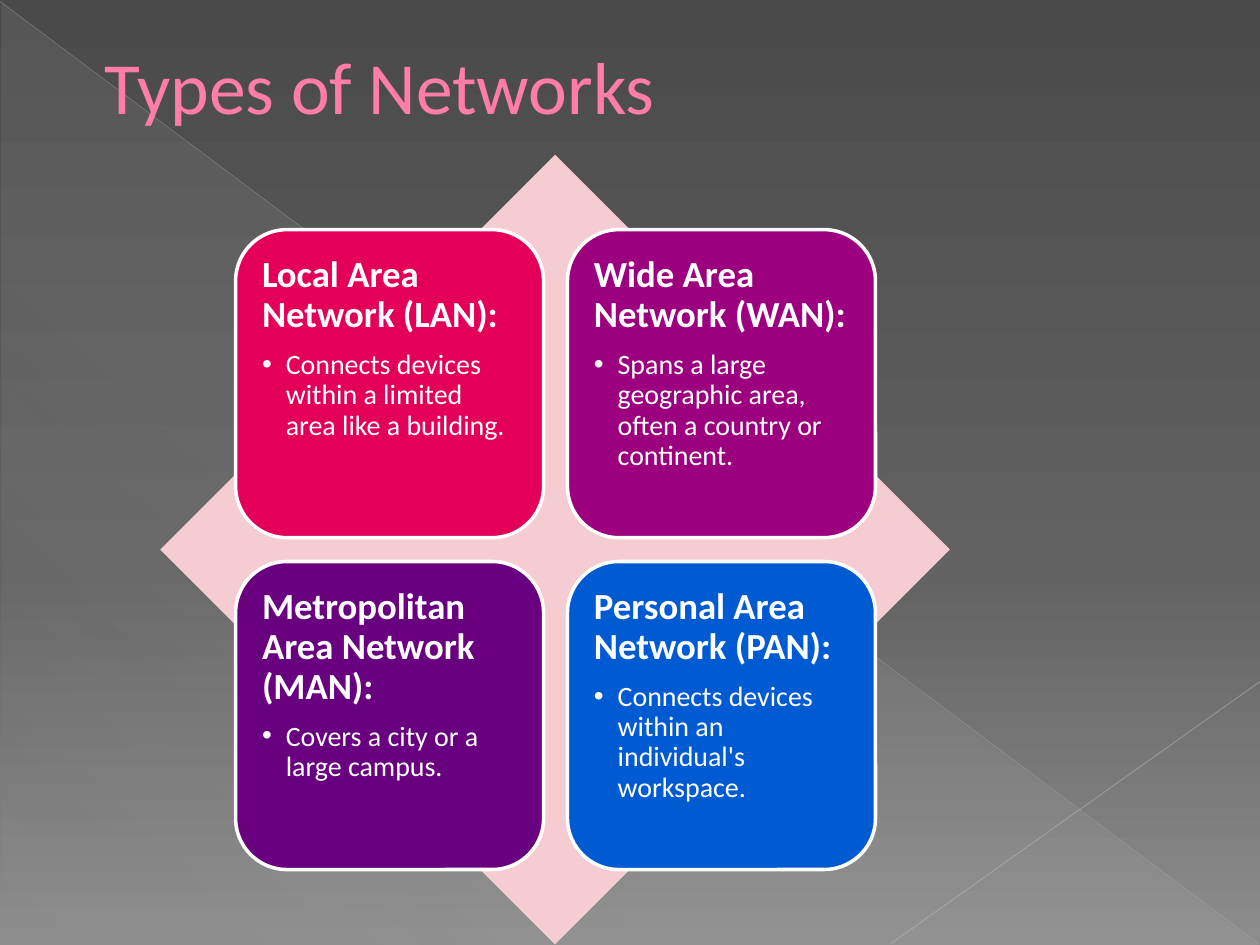
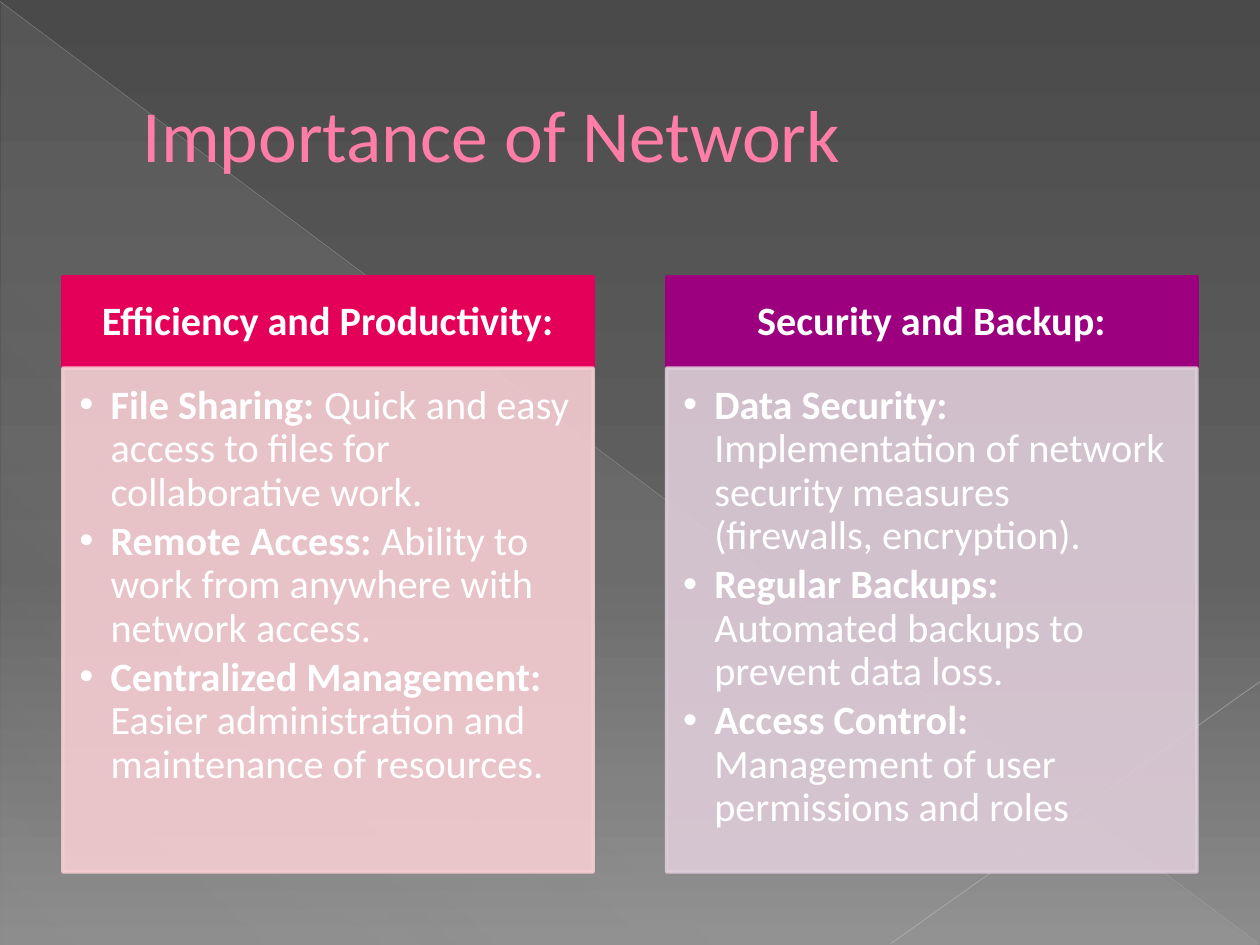
from dataclasses import dataclass

import lxml.etree
import pptx
import pptx.dml.color
import pptx.enum.shapes
import pptx.enum.text
import pptx.oxml.ns
import pptx.util

Cm = pptx.util.Cm
Pt = pptx.util.Pt
Color = pptx.dml.color.RGBColor.from_string
Shape = pptx.enum.shapes.MSO_SHAPE
Anchor = pptx.enum.text.MSO_ANCHOR
Align = pptx.enum.text.PP_ALIGN
qn = pptx.oxml.ns.qn


@dataclass(frozen=True)
class Theme:
    font: str = "Calibri"
    title: str = "FF7DA7"
    title_edge: str = "B12761"
    white: str = "FFFFFF"
    red: str = "E40059"
    magenta: str = "9C007F"
    purple: str = "68007F"
    blue: str = "005BD3"
    pink: str = "F5CCD1"
    lilac: str = "DECCD8"
    backdrop: tuple = ((0, "4A4A4A", 100), (60, "626262", 100), (100, "8C8C8C", 100))
    sheen: tuple = ((0, "D2D2D2", 10), (70, "D2D2D2", 8), (100, "D2D2D2", 1))
    title_size: float = 42
    card_heading_size: float = 21
    card_bullet_size: float = 16
    panel_size: float = 23
    heading_gap: float = 8.6
    bullet_gap: float = 3.2
    border: float = 2


theme = Theme()


def add_box(page, kind, place, fill, line=None, opacity=100):
    box = page.shapes.add_shape(kind, *[Cm(length) for length in place])
    box.shadow.inherit = False
    box.fill.solid()
    box.fill.fore_color.rgb = Color(fill)
    if line:
        box.line.color.rgb = Color(line)
        box.line.width = Pt(theme.border)
    else:
        box.line.fill.background()
    if opacity < 100:
        for color in box.element.spPr.iter(qn("a:srgbClr")):
            lxml.etree.SubElement(color, qn("a:alpha"), val=str(opacity * 1000))
    box.text_frame.word_wrap = True
    return box


def add_text(frame, pieces, size, gap, indent=0, align=Align.LEFT):
    para = frame.paragraphs[0] if not frame.text else frame.add_paragraph()
    para.alignment = align
    para.line_spacing = 0.9
    para.space_after = Pt(gap)
    if indent:
        properties = para._p.get_or_add_pPr()
        properties.set("marL", str(Cm(indent)))
        properties.set("indent", str(-Cm(indent)))
        lxml.etree.SubElement(properties, qn("a:buFont"), typeface="Arial")
        lxml.etree.SubElement(properties, qn("a:buChar"), char="•")
    for text, bold in pieces:
        span = para.add_run()
        span.text = text
        span.font.name = theme.font
        span.font.size = Pt(size)
        span.font.bold = bold
        span.font.color.rgb = Color(theme.white)


deck = pptx.Presentation()
deck.slide_width = Cm(25.4)
deck.slide_height = Cm(19.05)
master = deck.slide_master
title_layout = deck.slide_layouts.get_by_name("Title Only")

titles = [
    ("Types of Networks", (0.51, 0.53, 22.86, 2.39)),
    ("Importance of Network", (1.27, 0.74, 22.86, 3.89)),
]
pages = []
for text, place in titles:
    page = deck.slides.add_slide(title_layout)
    pages.append(page)
    title = page.shapes.title
    title.left, title.top, title.width, title.height = [Cm(length) for length in place]
    title.text_frame.text = text
    title.text_frame.auto_size = pptx.enum.text.MSO_AUTO_SIZE.NONE
    title.text_frame.vertical_anchor = Anchor.MIDDLE
    para = title.text_frame.paragraphs[0]
    para.alignment = Align.LEFT
    para._p.get_or_add_pPr().set("marL", str(Cm(1.35)))
    span = para.runs[0]
    span.font.name = theme.font
    span.font.size = Pt(theme.title_size)
    span.font.color.rgb = Color(theme.title)
    edge = lxml.etree.Element(qn("a:ln"), w=str(Pt(0.5)))
    edge_fill = lxml.etree.SubElement(edge, qn("a:solidFill"))
    lxml.etree.SubElement(edge_fill, qn("a:srgbClr"), val=theme.title_edge)
    span.font._element.insert(0, edge)

types_page, importance_page = pages

triangle = add_box(types_page, Shape.RIGHT_TRIANGLE, (0.03, 0.05, 25.35, 19), theme.white)
gradients = [
    (master.background.fill, master.element, theme.backdrop, 90),
    (triangle.fill, triangle.element, theme.sheen, 133),
]
for fill, owner, stops, angle in gradients:
    fill.gradient()
    fill.gradient_angle = 360 - angle
    stop_list = owner.find(".//" + qn("a:gsLst"))
    for stop in list(stop_list):
        stop_list.remove(stop)
    for position, color, opacity in stops:
        stop = lxml.etree.SubElement(stop_list, qn("a:gs"), pos=str(position * 1000))
        shade = lxml.etree.SubElement(stop, qn("a:srgbClr"), val=color)
        lxml.etree.SubElement(shade, qn("a:alpha"), val=str(opacity * 1000))

backdrop_parts = [triangle]
diagonals = [
    ((0, 0.03, 25.37, 19.02), "BFBFBF", 0.39, 35),
    ((25.4, 13.74, 17.96, 19.02), "C6C6C6", 0.47, 45),
]
for ends, color, width, opacity in diagonals:
    diagonal = types_page.shapes.add_connector(
        pptx.enum.shapes.MSO_CONNECTOR.STRAIGHT, *[Cm(length) for length in ends]
    )
    diagonal.line.color.rgb = Color(color)
    diagonal.line.width = Pt(width)
    shade = diagonal.element.spPr.find(".//" + qn("a:srgbClr"))
    lxml.etree.SubElement(shade, qn("a:alpha"), val=str(opacity * 1000))
    lxml.etree.SubElement(diagonal.element.spPr, qn("a:effectLst"))
    backdrop_parts.append(diagonal)
for index, part in enumerate(backdrop_parts):
    master.shapes.element.insert(2 + index, part.element)

add_box(types_page, Shape.DIAMOND, (3.23, 3.12, 15.92, 15.92), theme.pink)
cards = [
    ("Local Area Network (LAN):", "Connects devices within a limited area like a building.", theme.red),
    ("Wide Area Network (WAN):", "Spans a large geographic area, often a country or continent.", theme.magenta),
    ("Metropolitan Area Network (MAN):", "Covers a city or a large campus.", theme.purple),
    ("Personal Area Network (PAN):", "Connects devices within an individual's workspace.", theme.blue),
]
card_size, card_pitch = 6.21, 6.69
for index, (heading, detail, color) in enumerate(cards):
    row, column = divmod(index, 2)
    place = (4.75 + column * card_pitch, 4.63 + row * card_pitch, card_size, card_size)
    card = add_box(types_page, Shape.ROUNDED_RECTANGLE, place, color, theme.white)
    frame = card.text_frame
    frame.vertical_anchor = Anchor.TOP
    frame.margin_left = frame.margin_top = frame.margin_right = frame.margin_bottom = Cm(0.23)
    add_text(frame, [(heading, True)], theme.card_heading_size, theme.heading_gap)
    add_text(frame, [(detail, False)], theme.card_bullet_size, theme.bullet_gap, 0.48)

columns = [
    ("Efficiency and Productivity:", theme.red, theme.pink, [
        ("File Sharing:", " Quick and easy access to files for collaborative work."),
        ("Remote Access:", " Ability to work from anywhere with network access."),
        ("Centralized Management:", " Easier administration and maintenance of resources."),
    ]),
    ("Security and Backup:", theme.magenta, theme.lilac, [
        ("Data Security:", " Implementation of network security measures (firewalls, encryption)."),
        ("Regular Backups:", " Automated backups to prevent data loss."),
        ("Access Control:", " Management of user permissions and roles"),
    ]),
]
column_width, column_pitch = 10.69, 12.17
for index, (heading, header_color, panel_color, benefits) in enumerate(columns):
    left = 1.27 + index * column_pitch
    header = add_box(
        importance_page, Shape.RECTANGLE, (left, 5.59, column_width, 1.83), header_color, header_color
    )
    header.text_frame.vertical_anchor = Anchor.MIDDLE
    header.text_frame.margin_left = header.text_frame.margin_right = Cm(0.46)
    header.text_frame.margin_top = header.text_frame.margin_bottom = Cm(0.25)
    add_text(header.text_frame, [(heading, True)], theme.panel_size, 0, align=Align.CENTER)

    panel = add_box(
        importance_page, Shape.RECTANGLE, (left, 7.42, column_width, 10.16), panel_color, panel_color, 90
    )
    frame = panel.text_frame
    frame.vertical_anchor = Anchor.TOP
    frame.margin_left = frame.margin_top = Cm(0.33)
    frame.margin_right, frame.margin_bottom = Cm(0.46), Cm(0.5)
    for label, detail in benefits:
        add_text(frame, [(label, True), (detail, False)], theme.panel_size, theme.bullet_gap, 0.63)

deck.save("out.pptx")
